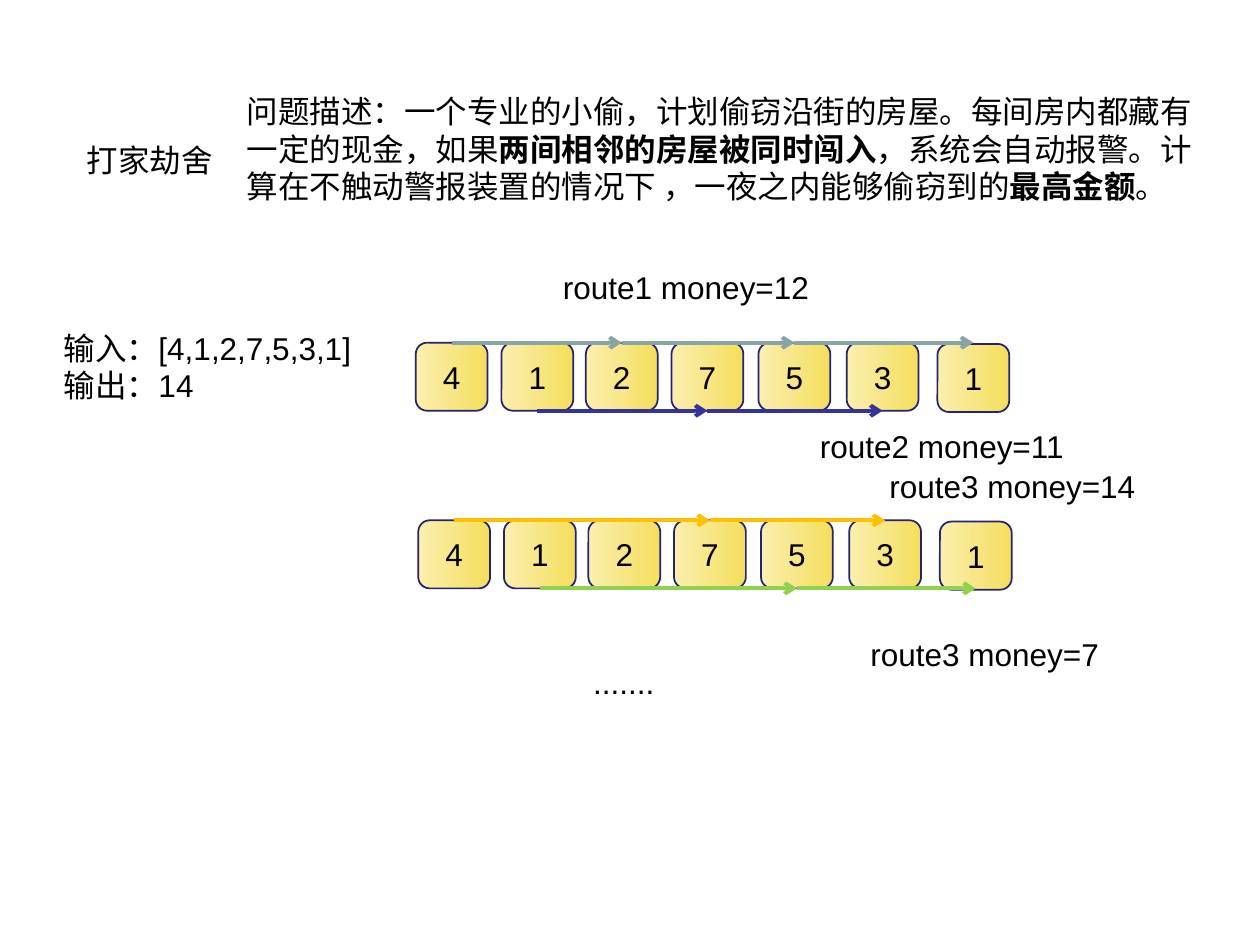
import pptx
import pptx.util
import pptx.dml.color
import pptx.enum.shapes
import pptx.enum.text
import lxml.etree
import pptx.oxml.ns

Inches = pptx.util.Inches
Pt = pptx.util.Pt
RGBColor = pptx.dml.color.RGBColor
ALIGN = pptx.enum.text.PP_ALIGN
ANCHOR = pptx.enum.text.MSO_ANCHOR
qn = pptx.oxml.ns.qn

BLACK = RGBColor(0x00, 0x00, 0x00)
PALE = RGBColor(0xFA, 0xEF, 0xAE)
YELLOW = RGBColor(0xF5, 0xDE, 0x5D)
NAVY = RGBColor(0x23, 0x23, 0x6F)
GREY = RGBColor(0x89, 0xA4, 0xA7)
BLUE = RGBColor(0x33, 0x33, 0x99)
ORANGE = RGBColor(0xFF, 0xC0, 0x00)
GREEN = RGBColor(0x92, 0xD0, 0x50)


def style(frame, align, anchor):
    frame.vertical_anchor = anchor
    for para in frame.paragraphs:
        para.alignment = align
        for run in para.runs:
            run.font.name = "Arial"
            run.font.size = Pt(18)
            run.font.color.rgb = BLACK


deck = pptx.Presentation()
deck.slide_width = Inches(10)
deck.slide_height = Inches(7.5)
slide = deck.slides.add_slide(deck.slide_layouts[5])
shapes = slide.shapes

title = shapes.title
title.left, title.top = Inches(0.59), Inches(1.07)
title.width, title.height = Inches(1.25), Inches(0.4)
title.text_frame.text = "打家劫舍"
title.text_frame.word_wrap = True
title.text_frame.auto_size = pptx.enum.text.MSO_AUTO_SIZE.NONE
style(title.text_frame, ALIGN.LEFT, ANCHOR.TOP)

task = [
    ["问题描述：一个专业的小偷，计划偷窃沿街的房屋。每间房内都藏有"],
    ["一定的现金，如果", "两间相邻的房屋被同时闯入", "，系统会自动报警。计"],
    ["算在不触动警报装置的情况下 ，一夜之内能够偷窃到的", "最高金额", "。"],
]
notes = [
    (1.86, 0.68, 7.75, 1, task),
    (0.41, 2.56, 2.6, 0.7, [["输入：[4,1,2,7,5,3,1]"], ["输出：14"]]),
    (4.37, 2.08, 2.2, 0.4, [["route1 money=12"]]),
    (6.41, 3.34, 2.2, 0.4, [["route2 money=11"]]),
    (6.96, 3.66, 2.2, 0.4, [["route3 money=14"]]),
    (6.81, 4.99, 2.1, 0.4, [["route3 money=7"]]),
    (4.61, 5.21, 0.75, 0.4, [["......."]]),
]
for left, top, width, height, lines in notes:
    box = shapes.add_textbox(Inches(left), Inches(top), Inches(width), Inches(height))
    frame = box.text_frame
    frame.word_wrap = True
    for i, parts in enumerate(lines):
        para = frame.paragraphs[0] if i == 0 else frame.add_paragraph()
        for j, part in enumerate(parts):
            run = para.add_run()
            run.text = part
            run.font.bold = j == 1
    style(frame, ALIGN.LEFT, ANCHOR.TOP)

HOUSE_W, HOUSE_H = 0.57, 0.54
cash = [4, 1, 2, 7, 5, 3, 1]
steps = [0, 0.68, 1.35, 2.03, 2.72, 3.42, 4.14]
rows = [
    (3.3, 2.72, [(0, GREY, [0, 2, 4, 6]), (HOUSE_H, BLUE, [1, 3, 5])]),
    (3.32, 4.13, [(0, ORANGE, [0, 3, 5]), (HOUSE_H, GREEN, [1, 4, 6])]),
]
for left, top, routes in rows:
    for step, value in zip(steps, cash):
        drop = 0.01 if step == steps[-1] else 0
        house = shapes.add_shape(
            pptx.enum.shapes.MSO_SHAPE.ROUNDED_RECTANGLE,
            Inches(left + step), Inches(top + drop), Inches(HOUSE_W), Inches(HOUSE_H))
        house.shadow.inherit = False
        house.fill.gradient()
        house.fill.gradient_angle = 0
        for stop, color in zip(house.fill.gradient_stops, [PALE, YELLOW]):
            stop.color.rgb = color
        house.line.color.rgb = NAVY
        house.line.width = Pt(1)
        house.text_frame.text = str(value)
        style(house.text_frame, ALIGN.CENTER, ANCHOR.MIDDLE)

    for shift, color, stops in routes:
        y = Inches(top + shift)
        for start, end in zip(stops, stops[1:]):
            arrow = shapes.add_connector(
                pptx.enum.shapes.MSO_CONNECTOR.STRAIGHT,
                Inches(left + steps[start] + HOUSE_W / 2), y,
                Inches(left + steps[end] + HOUSE_W / 2), y)
            arrow.line.color.rgb = color
            arrow.line.width = Pt(2.25)
            lxml.etree.SubElement(arrow.line._get_or_add_ln(), qn("a:tailEnd"), type="arrow")
            lxml.etree.SubElement(arrow._element.spPr, qn("a:effectLst"))

deck.save("out.pptx")
